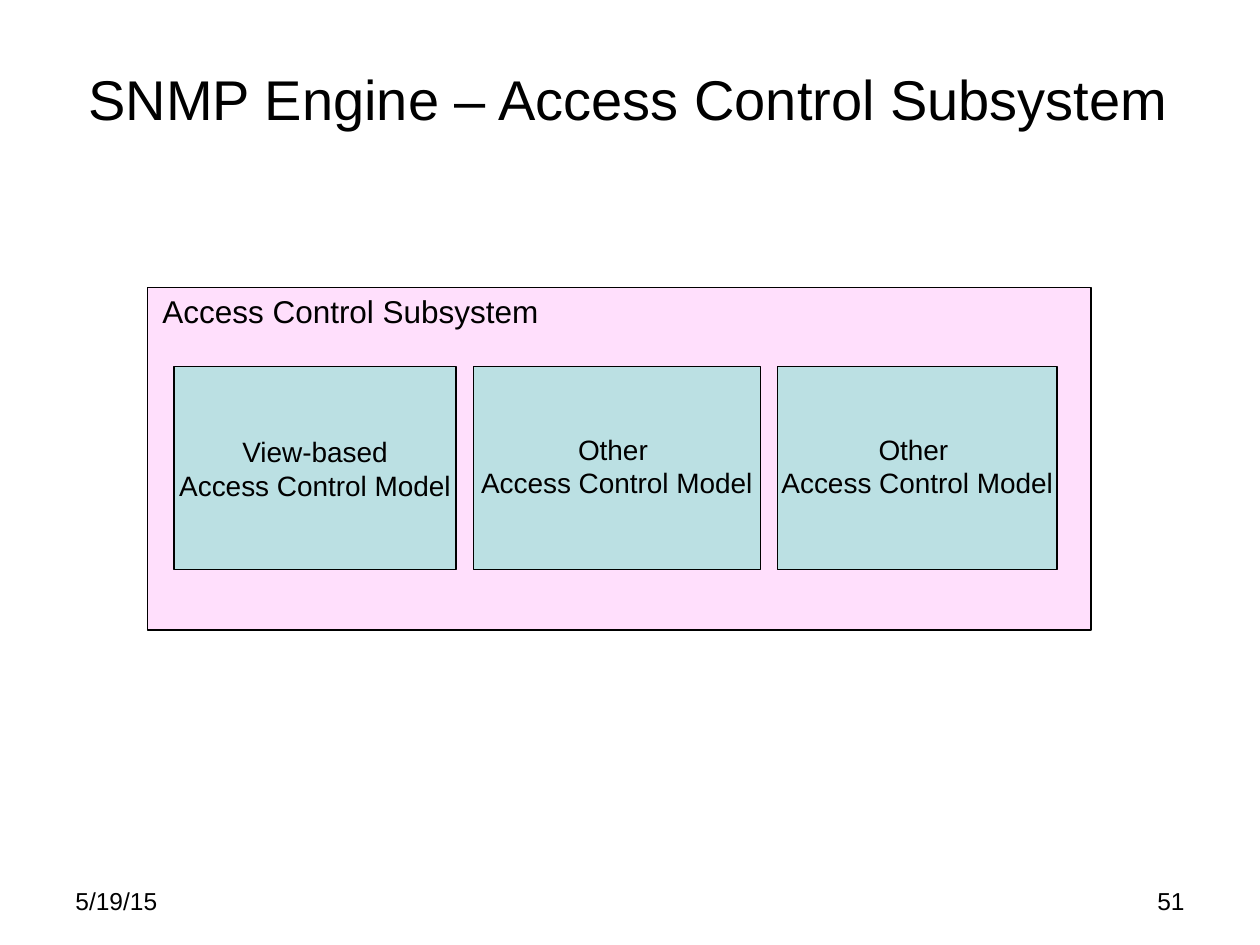
from dataclasses import dataclass

from pptx import Presentation
from pptx.dml.color import RGBColor
from pptx.enum.shapes import MSO_SHAPE
from pptx.enum.text import MSO_ANCHOR, PP_ALIGN
from pptx.shapes.autoshape import Shape
from pptx.slide import Slide
from pptx.util import Pt

LEFT, CENTER, RIGHT = PP_ALIGN.LEFT, PP_ALIGN.CENTER, PP_ALIGN.RIGHT
TOP, MIDDLE = MSO_ANCHOR.TOP, MSO_ANCHOR.MIDDLE
RECTANGLE = MSO_SHAPE.RECTANGLE


@dataclass(frozen=True)
class Theme:
    font: str = "Arial"
    ink: RGBColor = RGBColor(0, 0, 0)
    panel: RGBColor = RGBColor(0xFF, 0xDF, 0xFC)
    model: RGBColor = RGBColor(0xBB, 0xE0, 0xE3)
    line_width: float = 0.75
    title_size: int = 32
    heading_size: int = 18
    model_size: int = 16
    footer_size: int = 14


@dataclass(frozen=True)
class Area:
    left: float
    top: float
    width: float
    height: float

    def lengths(self) -> list[Pt]:
        return [Pt(v) for v in (self.left, self.top, self.width, self.height)]


@dataclass(frozen=True)
class Label:
    text: str
    area: Area
    size: int
    align: PP_ALIGN = LEFT
    anchor: MSO_ANCHOR = TOP
    wrap: bool = True


@dataclass(frozen=True)
class Model:
    lines: tuple[str, ...]
    width: float
    bottom_inset: float


THEME = Theme()


def write(shape: Shape, lines: tuple[str, ...], size: int, align: PP_ALIGN,
          frame_format: dict) -> None:
    frame = shape.text_frame
    for name, value in frame_format.items():
        setattr(frame, name, value)
    font_format = {"name": THEME.font, "size": Pt(size)}
    for index, line in enumerate(lines):
        para = frame.add_paragraph() if index else frame.paragraphs[0]
        para.alignment = align
        span = para.add_run()
        span.text = line
        for name, value in font_format.items():
            setattr(span.font, name, value)
        span.font.color.rgb = THEME.ink


def add_label(page: Slide, label: Label) -> None:
    box = page.shapes.add_textbox(*label.area.lengths())
    write(box, (label.text,), label.size, label.align,
          {"word_wrap": label.wrap, "vertical_anchor": label.anchor})


def add_rectangle(page: Slide, area: Area, fill: RGBColor) -> Shape:
    box = page.shapes.add_shape(RECTANGLE, *area.lengths())
    box.shadow.inherit = False
    box.fill.solid()
    box.fill.fore_color.rgb = fill
    box.line.color.rgb = THEME.ink
    box.line.width = Pt(THEME.line_width)
    return box


def add_models(page: Slide, models: tuple[Model, ...], left: float, gap: float) -> None:
    for model in models:
        box = add_rectangle(page, Area(left, 209.5, model.width, 116), THEME.model)
        write(box, model.lines, THEME.model_size, CENTER,
              {"word_wrap": False, "vertical_anchor": MIDDLE,
               "margin_bottom": Pt(model.bottom_inset)})
        left += model.width + gap


deck = Presentation()
deck.slide_width, deck.slide_height = Pt(720), Pt(540)
page = deck.slides.add_slide(deck.slide_layouts[6])

# Title and footer
for label in (
    Label("SNMP Engine – Access Control Subsystem", Area(35.3, 10.8, 648, 90),
          THEME.title_size, CENTER, MIDDLE),
    Label("5/19/15", Area(36, 502.5, 168, 37.5), THEME.footer_size),
    Label("51", Area(516, 502.5, 168, 37.5), THEME.footer_size, RIGHT),
):
    add_label(page, label)

# Subsystem panel and its heading
add_rectangle(page, Area(84.2, 164.2, 539.3, 195.8), THEME.panel)
add_label(page, Label("Access Control Subsystem", Area(85.7, 163.5, 229.7, 28.8),
                      THEME.heading_size, wrap=False))

# Row of access control models
MODEL_NAME = "Access Control Model"
add_models(page, (
    Model(("View-based", MODEL_NAME), 161.3, 3.6),
    Model(("Other ", MODEL_NAME), 164.2, 6),
    Model(("Other ", MODEL_NAME), 159.8, 6),
), left=99.4, gap=9.7)

deck.save("out.pptx")
